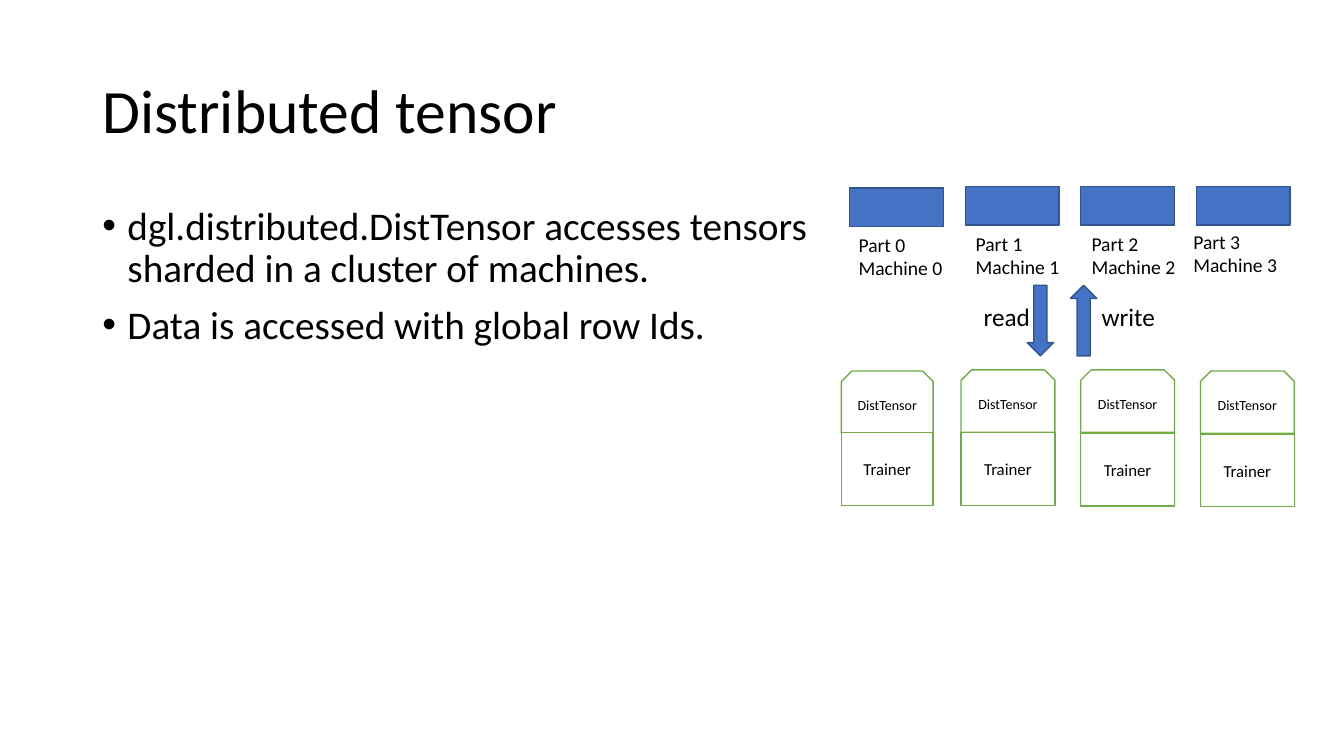
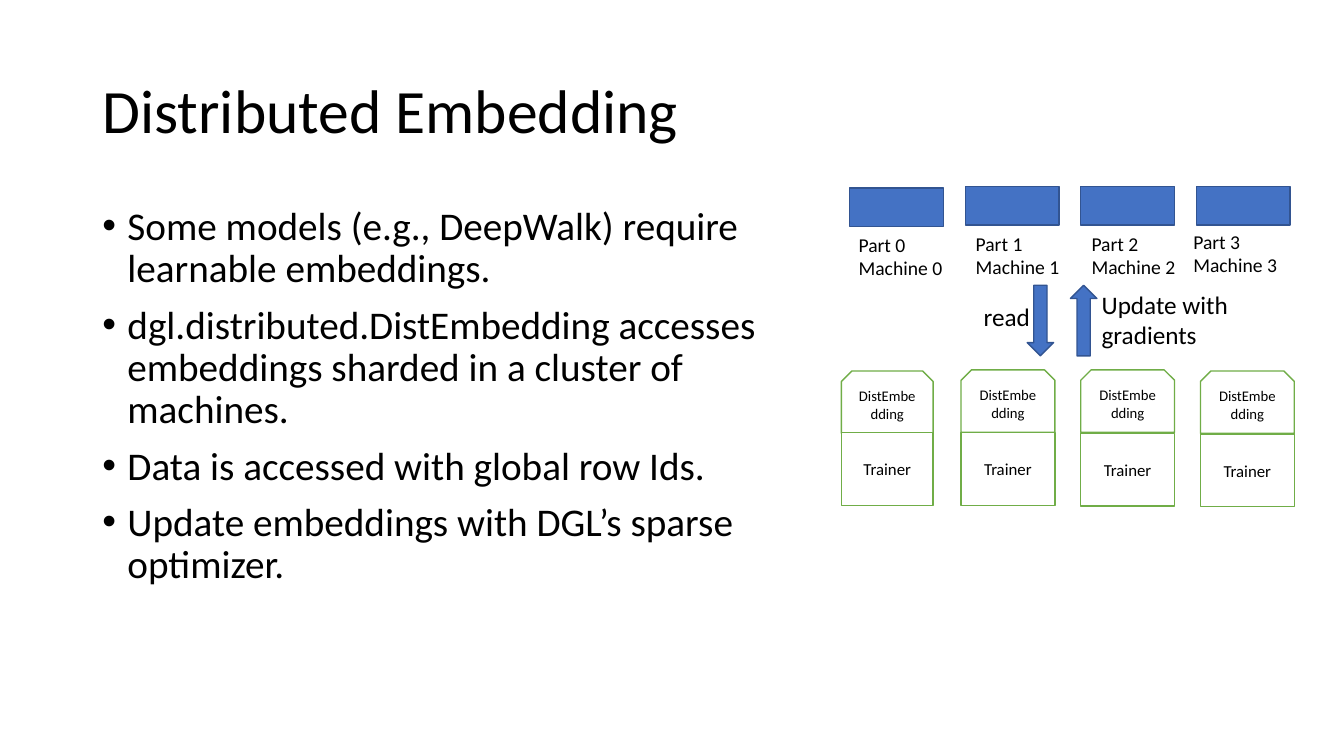
from pptx import Presentation
from pptx.dml.color import RGBColor
from pptx.enum.shapes import MSO_SHAPE
from pptx.enum.text import MSO_ANCHOR, MSO_AUTO_SIZE, PP_ALIGN
from pptx.oxml import parse_xml
from pptx.oxml.ns import nsdecls
from pptx.util import Pt

RECT = MSO_SHAPE.RECTANGLE
SNIP = MSO_SHAPE.SNIP_2_SAME_RECTANGLE
DOWN, UP = MSO_SHAPE.DOWN_ARROW, MSO_SHAPE.UP_ARROW
LEFT, CENTER = PP_ALIGN.LEFT, PP_ALIGN.CENTER
TOP, MIDDLE = MSO_ANCHOR.TOP, MSO_ANCHOR.MIDDLE
GROW, FIXED = MSO_AUTO_SIZE.SHAPE_TO_FIT_TEXT, MSO_AUTO_SIZE.NONE

FONT = "Calibri"
BLACK, WHITE = "000000", "FFFFFF"
BLUE, NAVY, GREEN = "4472C4", "325491", "70AD47"


def color(hex_string):
    return RGBColor.from_string(hex_string)


class Deck:
    """Holds the shared style and the slide being drawn."""

    def __init__(self):
        self.prs = Presentation()
        self.prs.slide_width, self.prs.slide_height = Pt(960), Pt(540)
        self.s = None

    def fill_text(self, sp, lines, size, frame, **para):
        """Fill a shape with paragraphs and apply frame and paragraph formats."""
        tf = sp.text_frame
        for name, value in frame.items():
            setattr(tf, name, value)
        for i, line in enumerate(lines):
            p = tf.add_paragraph() if i else tf.paragraphs[0]
            for name, value in para.items():
                setattr(p, name, value)
            r = p.add_run()
            r.text = line
            r.font.name, r.font.size = FONT, Pt(size)
            r.font.color.rgb = color(BLACK)

    def new_slide(self, title):
        self.s = self.prs.slides.add_slide(self.prs.slide_layouts[5])
        sp = self.s.shapes.title
        box = dict(left=66, top=28.8, width=828, height=104.4)
        for name, value in box.items():
            setattr(sp, name, Pt(value))
        frame = dict(vertical_anchor=MIDDLE, word_wrap=True, auto_size=FIXED)
        self.fill_text(sp, [title], 44, frame, alignment=LEFT, line_spacing=0.9)

    def text(self, x, y, w, h, lines, size):
        sp = self.s.shapes.add_textbox(Pt(x), Pt(y), Pt(w), Pt(h))
        self.fill_text(sp, lines, size, dict(auto_size=GROW, word_wrap=False))

    def bullets(self, x, y, w, h, lines):
        sp = self.s.shapes.add_textbox(Pt(x), Pt(y), Pt(w), Pt(h))
        frame = dict(vertical_anchor=TOP, word_wrap=True, auto_size=FIXED)
        self.fill_text(sp, lines, 28, frame, line_spacing=0.9,
                       space_before=Pt(10))
        for p in sp.text_frame.paragraphs:
            pPr = p._p.get_or_add_pPr()
            pPr.set("marL", str(Pt(18)))
            pPr.set("indent", str(-Pt(18)))
            pPr.append(parse_xml(f'<a:buFont {nsdecls("a")} typeface="Arial"/>'))
            pPr.append(parse_xml(f'<a:buChar {nsdecls("a")} char="•"/>'))

    def shape(self, kind, x, y, w, h, fill=BLUE, line=NAVY, label=None,
              size=12, group=None):
        shapes = (group or self.s).shapes
        sp = shapes.add_shape(kind, Pt(x), Pt(y), Pt(w), Pt(h))
        sp.shadow.inherit = False
        sp.fill.solid()
        sp.fill.fore_color.rgb = color(fill)
        sp.line.color.rgb = color(line)
        sp.line.width = Pt(1)
        if label:
            frame = dict(vertical_anchor=MIDDLE, word_wrap=True)
            self.fill_text(sp, [label], size, frame, alignment=CENTER)

    def trainer(self, x, y, w, seam, label, size):
        """Trainer box with the tensor interface on top, grouped."""
        group = self.s.shapes.add_group_shape()
        green = dict(fill=WHITE, line=GREEN, group=group)
        self.shape(SNIP, x, y, w, 44.6, label=label, size=size, **green)
        self.shape(RECT, x, seam, w, 52, label="Trainer", **green)

    def cluster(self, interface, size, update_lines, update_box):
        """Data parts above, trainers below, read and write arrows between."""
        label_spots = [(606.2, 162.7), (689.8, 162), (772.6, 162), (845.3, 160.6)]
        for i, (x, y) in enumerate(label_spots):
            self.text(x, y, 74.9, 41, [f"Part {i}", f"Machine {i}"], 14)
        for i, y in enumerate([134.2, 133.2, 133.2, 133.2]):
            self.shape(RECT, 607 + 82.5 * i, y, 67, 27.4)

        rows = [(265, 65.5, 309), (264.2, 67, 309),
                (264.2, 67, 309.6), (265, 67, 310)]
        for i, (y, w, seam) in enumerate(rows):
            self.trainer(601 + 85.5 * i, y, w, seam, interface, size)

        self.shape(DOWN, 733.7, 203.8, 18.9, 50.4)
        self.text(695.5, 211.7, 48.2, 29, ["read"], 18)
        self.shape(UP, 764.6, 203.8, 18.9, 50.4)
        self.text(*update_box, update_lines, 18)


def main():
    deck = Deck()

    # Distributed tensor
    deck.new_slide("Distributed tensor")
    deck.bullets(66, 144, 520, 342.7, [
        "dgl.distributed.DistTensor accesses tensors sharded in a cluster of machines.",
        "Data is accessed with global row Ids.",
    ])
    deck.cluster("DistTensor", 10, ["write"], (779.8, 211.7, 53.3, 29))

    # Distributed embedding
    deck.new_slide("Distributed Embedding")
    deck.bullets(66, 144, 529, 342.7, [
        "Some models (e.g., DeepWalk) require learnable embeddings.",
        "dgl.distributed.DistEmbedding accesses embeddings sharded in a cluster of machines.",
        "Data is accessed with global row Ids.",
        "Update embeddings with DGL’s sparse optimizer.",
    ])
    deck.cluster("DistEmbedding", 10.5, ["Update with", "gradients"],
                 (779.8, 203, 105.8, 51))

    deck.prs.save("out.pptx")


if __name__ == "__main__":
    main()
